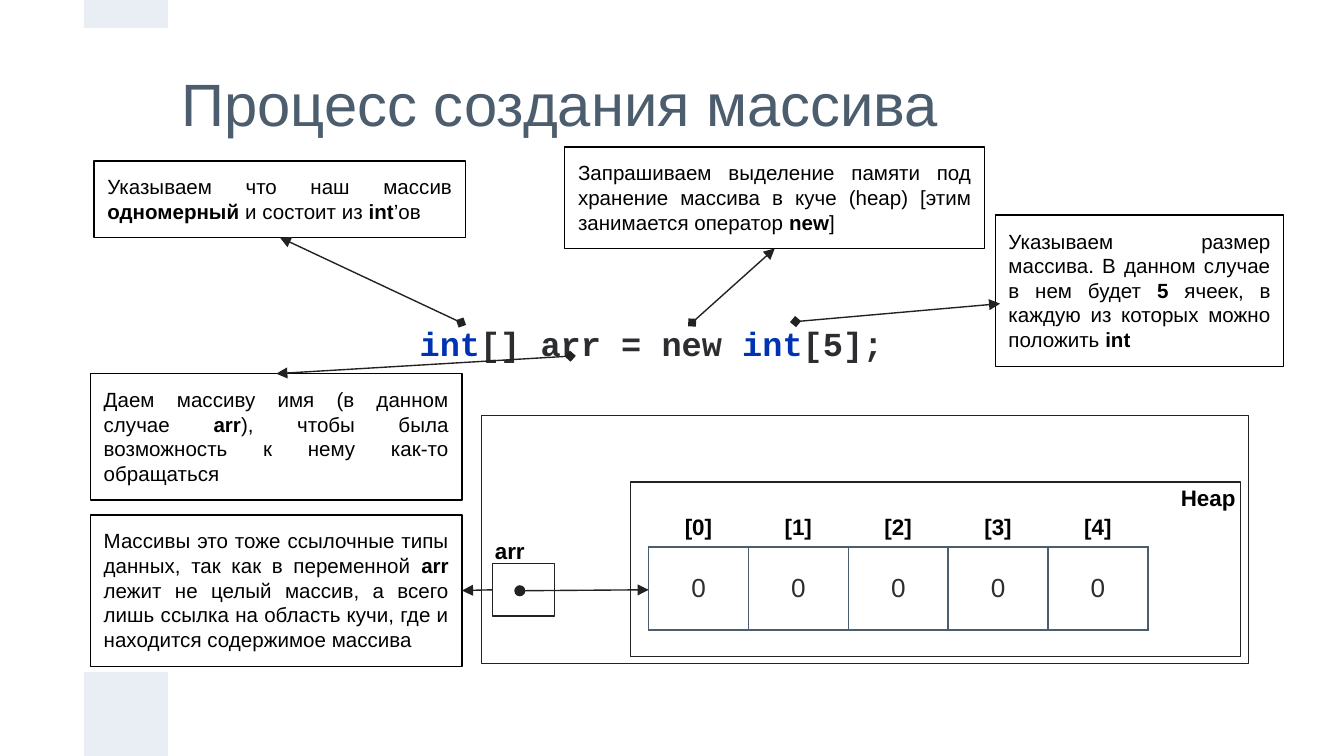
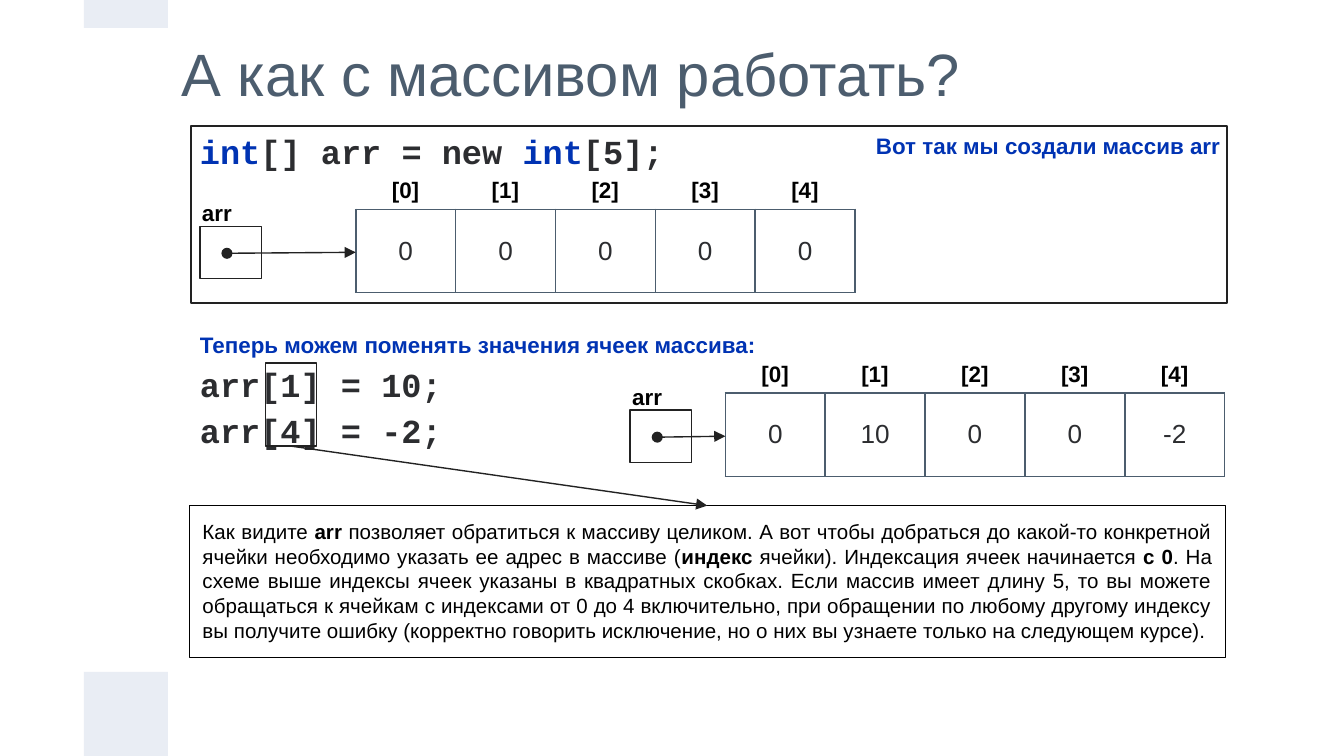
from dataclasses import dataclass

from lxml.etree import SubElement
from pptx import Presentation
from pptx.dml.color import RGBColor
from pptx.enum.shapes import MSO_CONNECTOR, MSO_SHAPE
from pptx.enum.text import MSO_ANCHOR, MSO_AUTO_SIZE, PP_ALIGN
from pptx.oxml.ns import qn
from pptx.shapes.autoshape import Shape
from pptx.shapes.connector import Connector
from pptx.slide import Slide, SlideLayout
from pptx.text.text import TextFrame
from pptx.util import Pt

# Colours and fonts
BAND = RGBColor(0xE9, 0xED, 0xF4)
SLATE = RGBColor(0x4C, 0x5D, 0x6E)
INK = RGBColor(0x22, 0x22, 0x22)
CODE_INK = RGBColor(0x2C, 0x2D, 0x30)
KEYWORD = RGBColor(0x00, 0x33, 0xB3)
BLACK = RGBColor(0, 0, 0)
SANS, MONO = "Arial", "Courier New"

# Measures in points
INSET = 7.2
CELL_WIDTH, CELL_HEIGHT = 53.5, 44.5
BOTTOM, TOP, LEFT, RIGHT = 2, 0, 1, 3
DECLARATION = "*int*[] arr = new *int*[5];"


@dataclass(frozen=True)
class Area:
    left: float
    top: float
    width: float
    height: float

    def lengths(self) -> tuple[Pt, Pt, Pt, Pt]:
        return Pt(self.left), Pt(self.top), Pt(self.width), Pt(self.height)


@dataclass(frozen=True)
class Style:
    """Text look; parts between asterisks are bold or take the accent colour."""
    size: float
    color: RGBColor
    name: str = SANS
    bold: bool = False
    accent: RGBColor | None = None
    align: PP_ALIGN = PP_ALIGN.LEFT
    indent: float = 0
    spacing: float | None = None


@dataclass(frozen=True)
class Note:
    area: Area
    text: str


@dataclass(frozen=True)
class ArrayDiagram:
    left: float
    top: float
    gap: float
    values: tuple[int, ...]


TITLE = Style(32, SLATE)
NOTE = Style(11, BLACK, align=PP_ALIGN.JUSTIFY)
LABEL = Style(12, BLACK, bold=True)
CODE = Style(18, CODE_INK, MONO, True, KEYWORD, indent=10, spacing=1.15)
CENTRED_CODE = Style(18, CODE_INK, MONO, True, KEYWORD, PP_ALIGN.CENTER, 10, 1.15)
REMARK = Style(12, KEYWORD, bold=True, indent=10, spacing=1.15)


# Text
def write(frame: TextFrame, lines: list[tuple[str, Style]]) -> None:
    frame.word_wrap = True
    frame.margin_left = frame.margin_right = Pt(INSET)
    frame.margin_top = frame.margin_bottom = Pt(INSET)
    for number, (text, style) in enumerate(lines):
        para = frame.add_paragraph() if number else frame.paragraphs[0]
        para.alignment = style.align
        if style.spacing:
            para.line_spacing = style.spacing
        if style.indent:
            properties = para._p.get_or_add_pPr()
            properties.set("marL", str(Pt(style.indent)))
            properties.set("indent", "0")
        font = para.font
        font.size, font.name, font.bold = Pt(style.size), style.name, style.bold
        font.color.rgb = style.color
        for index, part in enumerate(text.split("*")):
            if not part:
                continue
            span = para.add_run()
            span.text = part
            if index % 2 and style.accent:
                span.font.color.rgb = style.accent
            elif index % 2:
                span.font.bold = True


def add_text(page: Slide, area: Area, *lines: tuple[str, Style]) -> Shape:
    box = page.shapes.add_textbox(*area.lengths())
    write(box.text_frame, list(lines))
    return box


def add_title(page: Slide, text: str, height: float) -> None:
    title = page.shapes.title
    title.left, title.top, title.width, title.height = Area(90, 10, 540, height).lengths()
    write(title.text_frame, [(text, TITLE)])
    title.text_frame.auto_size = MSO_AUTO_SIZE.NONE
    title.text_frame.vertical_anchor = MSO_ANCHOR.MIDDLE


# Outlined boxes and connectors
def add_outline(page: Slide, area: Area, color: RGBColor = INK) -> Shape:
    box = page.shapes.add_shape(MSO_SHAPE.RECTANGLE, *area.lengths())
    box.shadow.inherit = False
    box.fill.background()
    box.line.color.rgb = color
    box.line.width = Pt(0.75)
    return box


def add_note(page: Slide, note: Note) -> Shape:
    box = add_outline(page, note.area, BLACK)
    write(box.text_frame, [(note.text, NOTE)])
    box.text_frame.vertical_anchor = MSO_ANCHOR.TOP
    return box


def add_arrow(page: Slide, start: tuple[float, float], end: tuple[float, float],
              head: str = "none") -> Connector:
    arrow = page.shapes.add_connector(
        MSO_CONNECTOR.STRAIGHT, *(Pt(length) for length in start + end))
    arrow.line.color.rgb = INK
    arrow.line.width = Pt(0.75)
    line = arrow.line._get_or_add_ln()
    SubElement(line, qn("a:headEnd"), type=head)
    SubElement(line, qn("a:tailEnd"), type="triangle")
    SubElement(arrow.element.spPr, qn("a:effectLst"))
    return arrow


# Array diagram: reference box, pointer, cells and their indices
def add_cells(page: Slide, diagram: ArrayDiagram) -> None:
    count = len(diagram.values)
    area = Area(diagram.left, diagram.top, CELL_WIDTH * count, CELL_HEIGHT)
    table = page.shapes.add_table(1, count, *area.lengths()).table
    table.first_row = table.horz_banding = False
    for cell, value in zip(table.iter_cells(), diagram.values):
        properties = cell._tc.get_or_add_tcPr()
        for side in ("a:lnL", "a:lnR", "a:lnT", "a:lnB"):
            border = SubElement(properties, qn(side), w=str(Pt(1)))
            fill = SubElement(border, qn("a:solidFill"))
            SubElement(fill, qn("a:srgbClr"), val=str(SLATE))
        cell.fill.background()
        cell.vertical_anchor = MSO_ANCHOR.MIDDLE
        para = cell.text_frame.paragraphs[0]
        para.alignment = PP_ALIGN.CENTER
        para.font.size, para.font.name = Pt(14), SANS
        para.font.color.rgb = CODE_INK
        para.add_run().text = str(value)


def add_indices(page: Slide, diagram: ArrayDiagram) -> None:
    count = len(diagram.values)
    text = "".join(f"\t[{index}]" for index in range(count))
    area = Area(diagram.left, diagram.top - 25.2, CELL_WIDTH * count, 28.8)
    box = add_text(page, area, (text, LABEL))
    properties = box.text_frame.paragraphs[0]._p.get_or_add_pPr()
    stops = SubElement(properties, qn("a:tabLst"))
    properties.insert(0, stops)
    for index in range(count):
        centre = Pt(CELL_WIDTH * (index + 0.5) - INSET)
        SubElement(stops, qn("a:tab"), pos=str(centre), algn="ctr")


def add_array(page: Slide, diagram: ArrayDiagram) -> Shape:
    left, top = diagram.left - diagram.gap, diagram.top + 9
    reference = add_outline(page, Area(left, top, 33, 28))
    add_cells(page, diagram)
    add_arrow(page, (left + 14.5, top + 14.5), (diagram.left, diagram.top + 23), "oval")
    add_text(page, Area(left - 6, top - 21.5, 49, 28.8), ("arr", LABEL))
    add_indices(page, diagram)
    return reference


# Shared bands live on the layout
def add_bands(page: Slide, layout: SlideLayout) -> None:
    for area in (Area(45, 360, 45, 45), Area(45, 0, 45, 15)):
        band = page.shapes.add_shape(MSO_SHAPE.RECTANGLE, *area.lengths())
        band.shadow.inherit = False
        band.fill.solid()
        band.fill.fore_color.rgb = BAND
        band.line.fill.background()
        layout.shapes.element.append(band.element)


def build_creation(page: Slide) -> None:
    add_title(page, "Процесс создания массива", 90)
    add_text(page, Area(182, 162.7, 324, 33), (DECLARATION, CENTRED_CODE))

    # Explanations of each part of the declaration
    kind = add_note(page, Note(
        Area(50.4, 86.2, 199, 41),
        "Указываем что наш массив *одномерный *и состоит из *int*’ов"))
    name = add_note(page, Note(
        Area(48.5, 200.2, 199, 67.7),
        "Даем массиву имя (в данном случае *arr*), чтобы была возможность "
        "к нему как-то обращаться"))
    memory = add_note(page, Note(
        Area(302.6, 78.7, 225, 54.4),
        "Запрашиваем выделение памяти под хранение массива в куче (heap) "
        "[этим занимается оператор *new*]"))
    add_note(page, Note(
        Area(533.2, 115.2, 154.6, 81.2),
        "Указываем размер массива. В данном случае в нем будет *5* ячеек, "
        "в каждую из которых можно положить *int*"))
    reference_note = add_note(page, Note(
        Area(48.5, 275.8, 199, 81.2),
        "Массивы это тоже ссылочные типы данных, так как в переменной *arr *лежит "
        "не целый массив, а всего лишь ссылка на область кучи, где и находится "
        "содержимое массива"))
    for start, end, box, side in (
        ((247, 172.8), (149.8, 127.4), kind, BOTTOM),
        ((305.5, 190.8), (148, 200.2), name, TOP),
        ((370.8, 172.8), (415, 133.2), memory, BOTTOM),
    ):
        add_arrow(page, start, end, "diamond").end_connect(box, side)
    add_arrow(page, (426.2, 172.3), (535.8, 162.7), "diamond")

    # Memory with the heap inside
    add_outline(page, Area(257.8, 222.5, 411, 133))
    add_outline(page, Area(337.7, 258.3, 327, 93.5))
    add_text(page, Area(625.5, 252, 49, 28.8), ("Heap", LABEL))
    reference = add_array(page, ArrayDiagram(347.5, 293, 83.5, (0, 0, 0, 0, 0)))
    link = add_arrow(page, (264, 316), (247.5, 316))
    link.begin_connect(reference, LEFT)
    link.end_connect(reference_note, RIGHT)


def build_usage(page: Slide) -> None:
    add_title(page, "А как с массивом работать?", 58.3)

    # Fresh array
    add_text(page, Area(90, 59.8, 292, 33), (DECLARATION, CODE))
    add_array(page, ArrayDiagram(190.6, 112.2, 83.5, (0, 0, 0, 0, 0)))
    add_outline(page, Area(102.4, 67.4, 555, 95))
    add_text(page, Area(452.2, 61.2, 236, 28.8), ("Вот так мы создали массив arr", REMARK))

    # Changed cells
    add_array(page, ArrayDiagram(388.6, 210.7, 51, (0, 10, 0, 0, -2)))
    add_text(page, Area(90, 167.8, 340, 78.5),
             ("Теперь можем поменять значения ячеек массива:", REMARK),
             ("arr[1] = 10;", CODE), ("arr[4] = -2;", CODE))
    brackets = add_outline(page, Area(142.2, 194.4, 27.4, 44.6))

    # Explanation of indices
    note = add_note(page, Note(
        Area(101.4, 270.9, 555, 81.2),
        "Как видите *arr *позволяет обратиться к массиву целиком. А вот чтобы "
        "добраться до какой-то конкретной ячейки необходимо указать ее адрес в "
        "массиве (*индекс* ячейки). Индексация ячеек начинается *с 0*. На схеме выше "
        "индексы ячеек указаны в квадратных скобках. Если массив имеет длину 5, то "
        "вы можете обращаться к ячейкам с индексами от 0 до 4 включительно, при "
        "обращении по любому другому индексу вы получите ошибку (корректно говорить "
        "исключение, но о них вы узнаете только на следующем курсе)."))
    link = add_arrow(page, (156, 239), (379, 270.9))
    link.begin_connect(brackets, BOTTOM)
    link.end_connect(note, TOP)


def main() -> None:
    deck = Presentation()
    deck.slide_width, deck.slide_height = Pt(720), Pt(405)
    layout = deck.slide_layouts.get_by_name("Title Only")
    creation, usage = (deck.slides.add_slide(layout) for _ in range(2))
    add_bands(creation, layout)
    build_creation(creation)
    build_usage(usage)
    deck.save("out.pptx")


if __name__ == "__main__":
    main()
